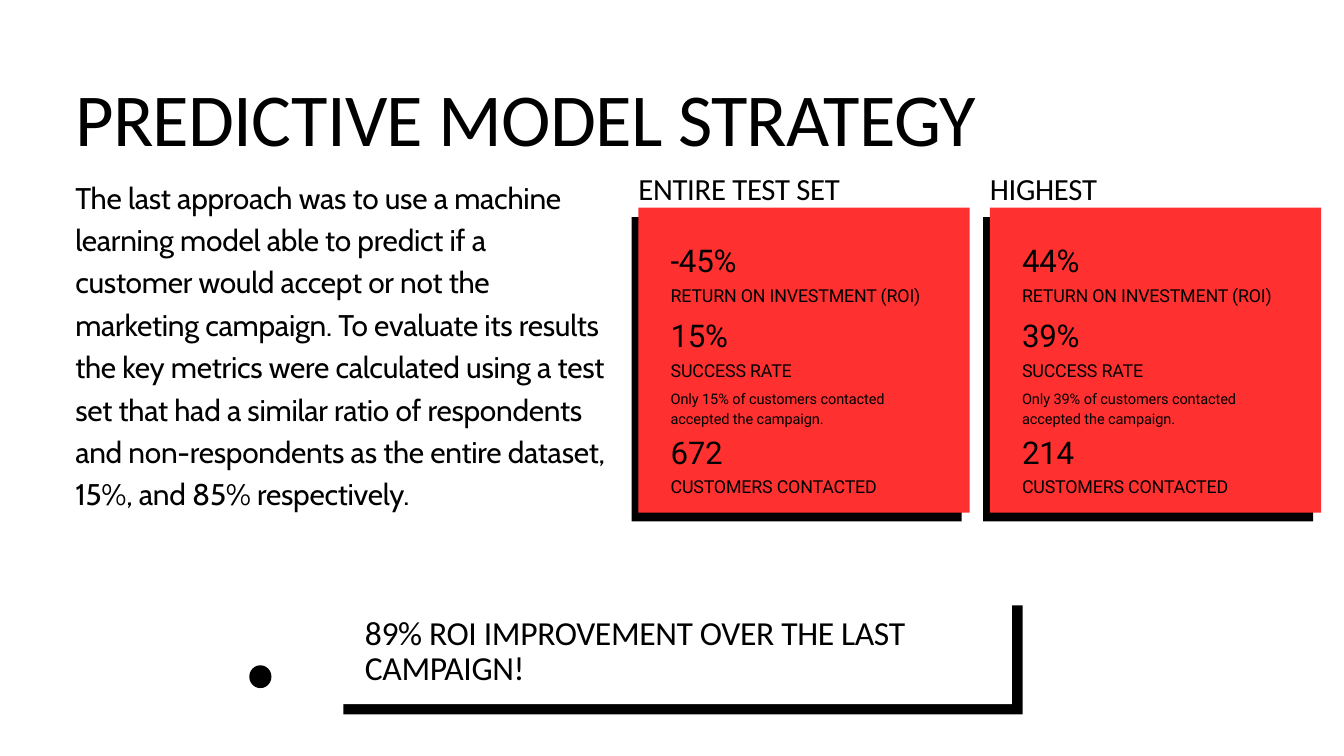
from lxml import etree
from pptx import Presentation
from pptx.dml.color import RGBColor
from pptx.enum.shapes import MSO_SHAPE
from pptx.enum.text import MSO_ANCHOR, MSO_AUTO_SIZE, PP_ALIGN
from pptx.oxml.ns import qn
from pptx.util import Pt

RECT, OVAL = MSO_SHAPE.RECTANGLE, MSO_SHAPE.OVAL
TOP, LEFT, FIXED = MSO_ANCHOR.TOP, PP_ALIGN.LEFT, MSO_AUTO_SIZE.NONE
PX = 9144

TITLE = "PREDICTIVE MODEL STRATEGY"
BODY = (
    "The last approach was to use a machine learning model able to predict "
    "if a customer would accept or not the marketing campaign. To evaluate "
    "its results the key metrics were calculated using a test set that had "
    "a similar ratio of respondents and non-respondents as the entire "
    "dataset, 15%, and 85% respectively."
)
CLAIM = "89% ROI IMPROVEMENT OVER THE LAST CAMPAIGN!"
CARDS = [
    ("ENTIRE TEST SET", "-45%", "15%", "672"),
    ("HIGHEST", "44%", "39%", "214"),
]
LABELS = ["RETURN ON INVESTMENT (ROI)", "SUCCESS RATE", "CUSTOMERS CONTACTED"]
NOTE = "Only {} of customers contacted accepted the campaign."

THEME = {
    "ink": RGBColor(0, 0, 0),
    "paper": RGBColor(255, 255, 255),
    "card": RGBColor(255, 48, 48),
    # style: font, size, line pitch, letter spacing in 1/100 pt
    "title": ("Calibri", 80, 84, -80),
    "body": ("Cabin", 32, 45.4, -30),
    "head": ("Calibri", 32.9, 34.6, -30),
    "claim": ("Calibri", 36, 37.8, -40),
    "value": ("Roboto", 33.5, 35.2, -30),
    "label": ("Roboto", 19.1, 20.1, -20),
    "note": ("Roboto", 15.6, 22.1, -10),
}
CARD_X, CARD_STEP = 950, 523
ROWS = [366, 478, 651]


def scale(*box):
    return [n * PX for n in box]


def block(slide, kind, box, hue):
    shape = slide.shapes.add_shape(kind, *scale(*box))
    shape.shadow.inherit = False
    shape.fill.solid()
    shape.fill.fore_color.rgb = THEME[hue]
    shape.line.fill.background()


def write(shape, text, style):
    face, size, pitch, gap = THEME[style]
    frame = shape.text_frame
    frame.word_wrap = True
    frame.auto_size = FIXED
    frame.vertical_anchor = TOP
    frame.margin_left = frame.margin_right = 0
    frame.margin_top = frame.margin_bottom = 0
    frame.text = text
    para = frame.paragraphs[0]
    para.alignment = LEFT
    para.line_spacing = Pt(pitch)
    para.space_before = Pt(0)
    props = para._p.get_or_add_pPr()
    props.set("marL", "0")
    props.set("indent", "0")
    etree.SubElement(props, qn("a:buNone"))
    font = para.font
    font.name, font.size = face, Pt(size)
    font.color.rgb = THEME["ink"]
    font._rPr.set("spc", str(gap))


def place(shape, box):
    shape.left, shape.top, shape.width, shape.height = scale(*box)


def label(slide, box, text, style):
    write(slide.shapes.add_textbox(*scale(*box)), text, style)


def card(slide, x, head, *values):
    block(slide, RECT, (x - 10, 323, 491, 453), "ink")
    block(slide, RECT, (x, 309, 493, 454), "card")
    label(slide, (x, 259, 423, 50), head, "head")
    left = x + 48
    for y, value, name in zip(ROWS, values, LABELS):
        label(slide, (left, y, 397, 52), value, "value")
        label(slide, (left, y + 61, 397, 30), name, "label")
    label(slide, (left, 575, 397, 60), NOTE.format(values[1]), "note")


def main():
    deck = Presentation()
    deck.slide_width, deck.slide_height = scale(2000, 1125)
    slide = deck.slides.add_slide(deck.slide_layouts[1])
    title, body = slide.placeholders
    place(title, (112, 124, 1607, 121))
    write(title, TITLE, "title")
    place(body, (112, 257, 794, 560))
    write(body, BODY, "body")
    for i, data in enumerate(CARDS):
        card(slide, CARD_X + i * CARD_STEP, *data)
    block(slide, RECT, (511, 901, 1011, 162), "ink")
    block(slide, RECT, (500, 890, 1006, 158), "paper")
    label(slide, (543, 918, 932, 106), CLAIM, "claim")
    block(slide, OVAL, (371, 990, 33, 34), "ink")
    deck.save("out.pptx")


if __name__ == "__main__":
    main()
